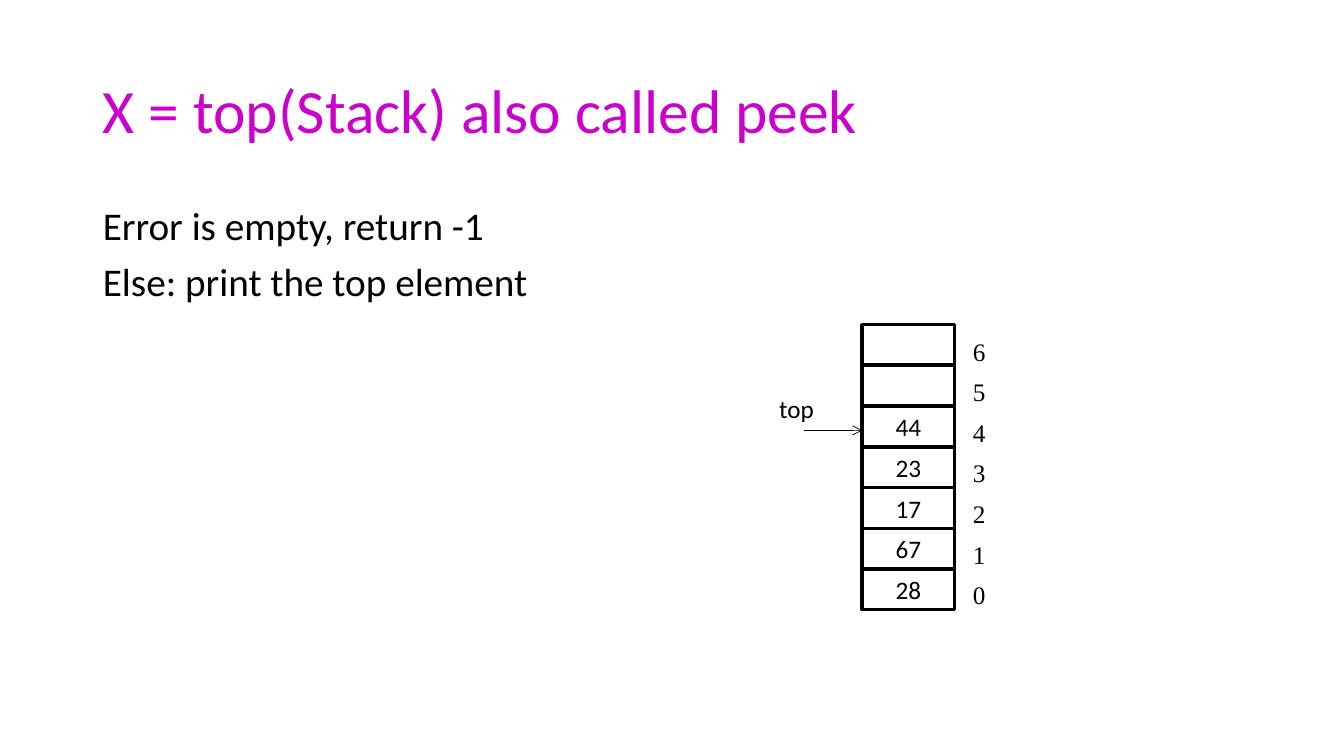
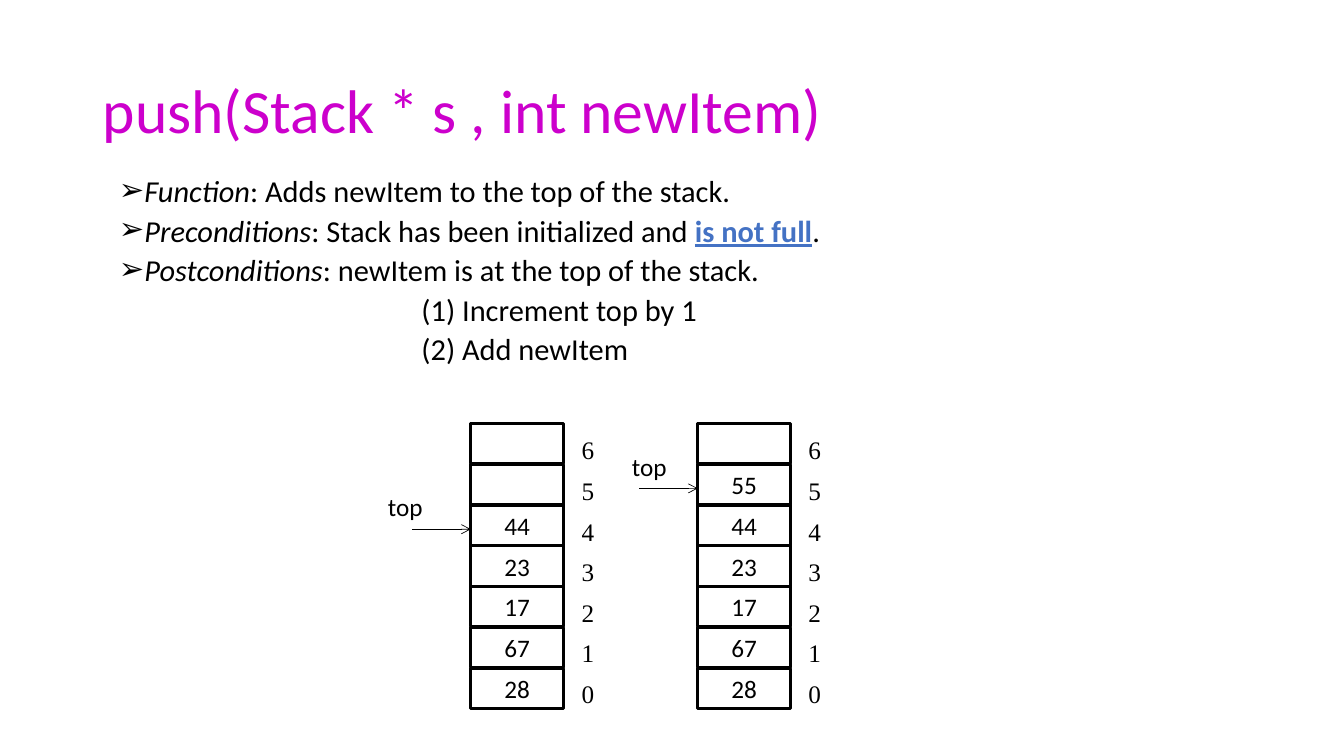
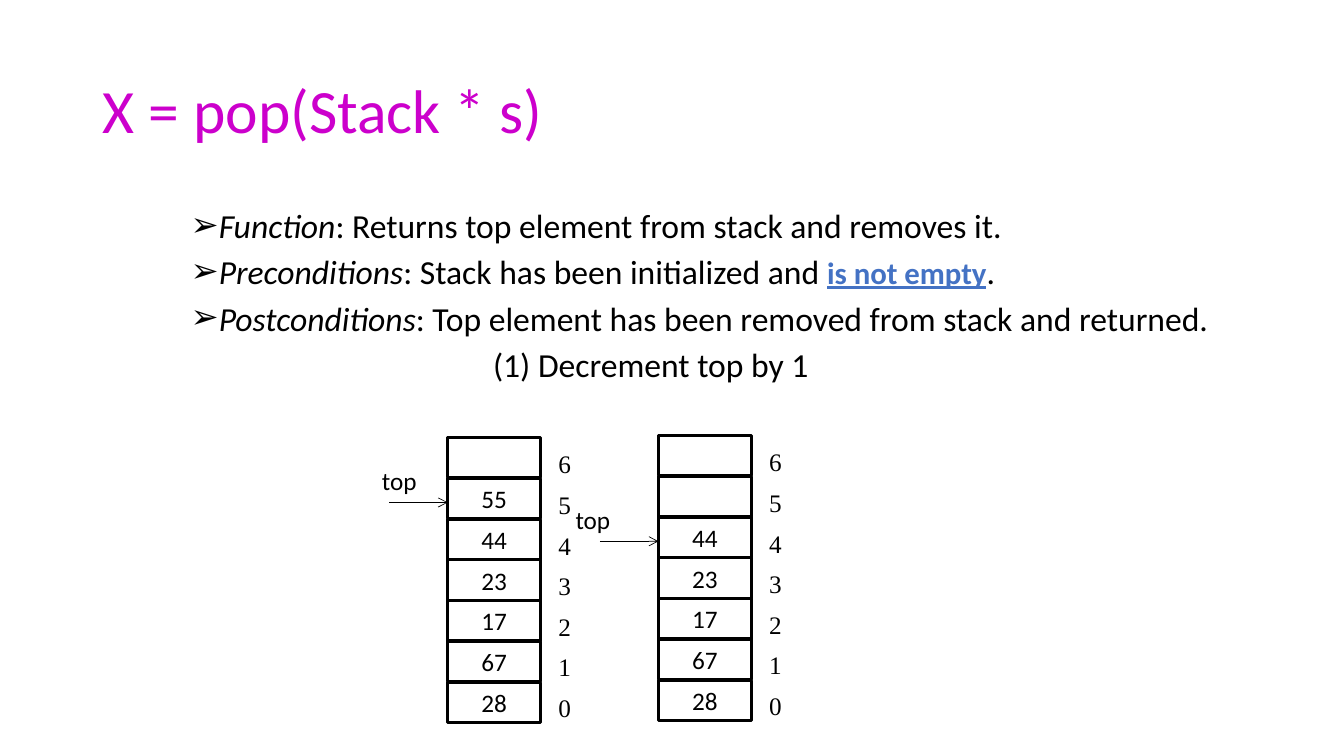
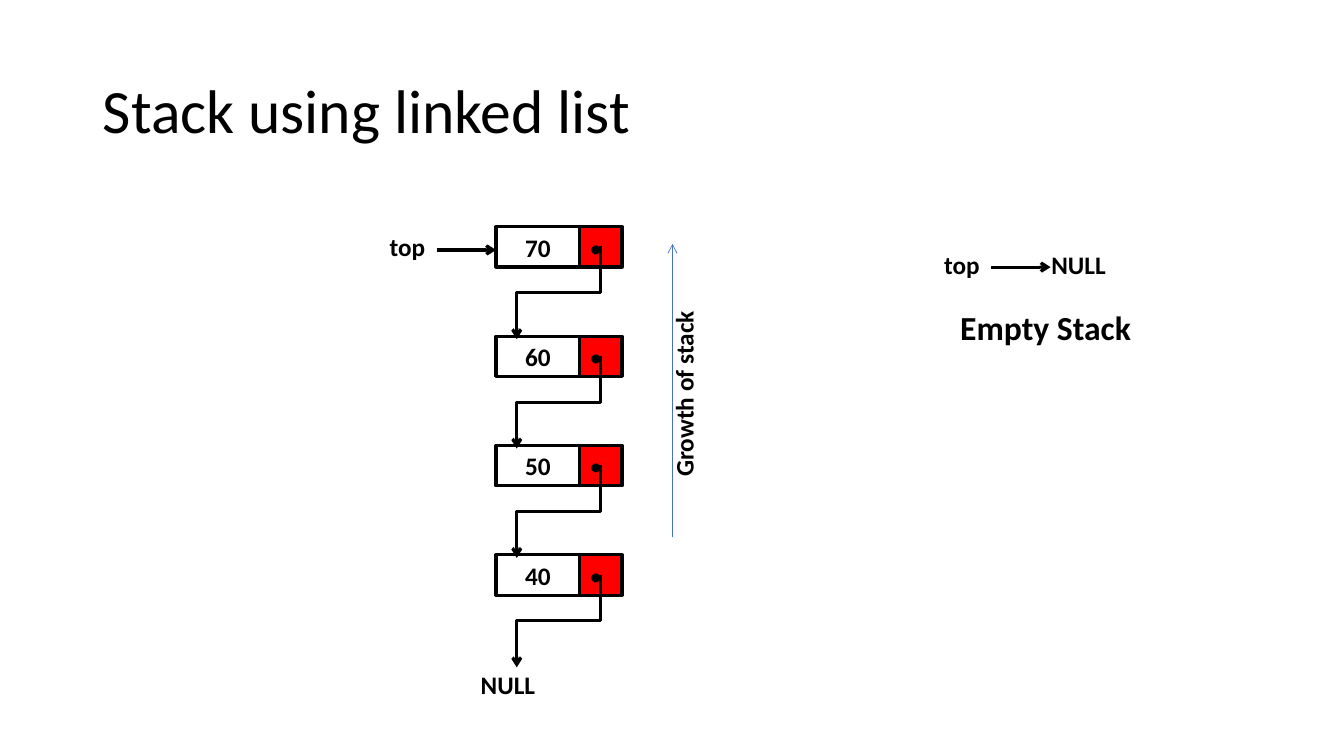
from lxml.etree import SubElement
from pptx import Presentation
from pptx.dml.color import RGBColor
from pptx.enum.shapes import MSO_CONNECTOR, MSO_SHAPE
from pptx.enum.text import MSO_ANCHOR, MSO_AUTO_SIZE, PP_ALIGN
from pptx.oxml.ns import qn
from pptx.util import Inches, Pt

BLACK, MAGENTA, BLUE, RED = "000000", "CC00CC", "4472C4", "FF0000"
BODY_FONT, INDEX_FONT = "Calibri", "Times New Roman"
TITLE_AND_BODY, TITLE_ONLY = 1, 5  # layout numbers
ROW_H, ROW_PITCH, CELL_W = 0.4, 0.405, 0.92  # array stack
NODE_PITCH, DATA_W, LINK_W = 1.085, 0.83, 0.42  # linked list


def rgb(value):
    return RGBColor.from_string(value)


def inches(*lengths):
    return [Inches(length) for length in lengths]


def style(font, size=18, color=BLACK, bold=False, name=BODY_FONT):
    font.name, font.size, font.bold = name, Pt(size), bold
    font.color.rgb = rgb(color)


# Basic parts
def add_label(shapes, box, text, size=18, bold=False, align=PP_ALIGN.LEFT):
    label = shapes.add_textbox(*inches(*box))
    frame = label.text_frame
    frame.word_wrap = True
    frame.text = text
    frame.paragraphs[0].alignment = align
    style(frame.paragraphs[0].runs[0].font, size, bold=bold)
    return label


def add_cell(shapes, box, text="", bold=False, fill=None, align=PP_ALIGN.CENTER):
    cell = shapes.add_shape(MSO_SHAPE.RECTANGLE, *inches(*box))
    cell.shadow.inherit = False
    if fill:
        cell.fill.solid()
        cell.fill.fore_color.rgb = rgb(fill)
    else:
        cell.fill.background()
    cell.line.color.rgb = rgb(BLACK)
    cell.line.width = Pt(2.25)
    if text:
        paragraph = cell.text_frame.paragraphs[0]
        paragraph.text = text
        paragraph.alignment = align
        style(paragraph.runs[0].font, bold=bold)


def add_arrow(shapes, start, end, width=0.5, color=BLACK, kind=MSO_CONNECTOR.STRAIGHT):
    arrow = shapes.add_connector(kind, *inches(*start, *end))
    arrow.line.color.rgb = rgb(color)
    arrow.line.width = Pt(width)
    SubElement(arrow.line._get_or_add_ln(), qn("a:tailEnd"), type="arrow")
    SubElement(arrow._element.spPr, qn("a:effectLst"))
    return arrow


# Slide frame and body text
def add_titled_slide(prs, text, color=MAGENTA, layout=TITLE_AND_BODY):
    slide = prs.slides.add_slide(prs.slide_layouts[layout])
    title = slide.shapes.title
    title.left, title.top, title.width, title.height = inches(0.92, 0.4, 11.5, 1.45)
    frame = title.text_frame
    frame.text = text
    frame.auto_size = MSO_AUTO_SIZE.NONE
    frame.vertical_anchor = MSO_ANCHOR.MIDDLE
    paragraph = frame.paragraphs[0]
    paragraph.alignment = PP_ALIGN.LEFT
    paragraph.line_spacing = 0.9
    style(paragraph.runs[0].font, 44, color)
    return slide


def set_indent(paragraph, margin, first_line=0, bullet=None):
    properties = paragraph._p.get_or_add_pPr()
    properties.set("marL", str(Inches(margin)))
    properties.set("indent", str(Inches(first_line)))
    if bullet:
        SubElement(properties, qn("a:buChar"), char=bullet)
    else:
        SubElement(properties, qn("a:buNone"))


def body_paragraphs(slide, box, count, spacing, align):
    body = slide.placeholders[1]
    body.left, body.top, body.width, body.height = inches(*box)
    frame = body.text_frame
    frame.auto_size = MSO_AUTO_SIZE.NONE
    for number in range(count):
        paragraph = frame.add_paragraph() if number else frame.paragraphs[0]
        paragraph.alignment = align
        paragraph.line_spacing = spacing
        paragraph.space_before = Pt(10 if number else 0)
        yield paragraph


def add_plain_body(slide, box, lines):
    paragraphs = body_paragraphs(slide, box, len(lines), 0.9, PP_ALIGN.LEFT)
    for paragraph, line in zip(paragraphs, lines):
        set_indent(paragraph, 0)
        paragraph.text = line
        style(paragraph.runs[0].font, 28)


def add_contract(slide, box, clauses, steps, size, condition_size, spacing):
    """Bulleted clauses (term, text, stressed condition), then indented steps."""
    count = len(clauses) + len(steps)
    paragraphs = body_paragraphs(slide, box, count, spacing, PP_ALIGN.JUSTIFY)
    for (term, text, condition), paragraph in zip(clauses, paragraphs):
        set_indent(paragraph, 0.25, -0.25, "➢")
        pieces = [term, text] + ([condition, "."] if condition else [])
        for piece in pieces:
            run = paragraph.add_run()
            run.text = piece
            stressed = piece == condition
            style(run.font, condition_size if stressed else size,
                  BLUE if stressed else BLACK, bold=stressed)
            run.font.italic = piece == term
            run.font.underline = stressed
    for step, paragraph in zip(steps, paragraphs):
        set_indent(paragraph, 3)
        paragraph.text = step
        style(paragraph.runs[0].font, size)


# Array stack: cells, indices and the pointer to the top element
def add_array_stack(slide, left, top, values, label_offset=0.92, capacity=7):
    shapes = slide.shapes.add_group_shape().shapes
    for index in range(capacity):
        row_top = top + (capacity - 1 - index) * ROW_PITCH
        text = values[index] if index < len(values) else ""
        add_cell(shapes, (left, row_top, CELL_W, ROW_H), text)

    top_row = top + (capacity - len(values)) * ROW_PITCH
    add_label(shapes, (left - label_offset, top_row - 0.18, 0.67, 0.4), "top")
    add_arrow(shapes, (left - 0.58, top_row + 0.24), (left, top_row + 0.24))

    indices = shapes.add_textbox(*inches(left + 1, top - 0.04, 0.5, 2.91)).text_frame
    indices.word_wrap = True
    indices.text = "\n".join(str(index) for index in reversed(range(capacity)))
    for paragraph in indices.paragraphs:
        paragraph.line_spacing = Pt(29)
        style(paragraph.runs[0].font, name=INDEX_FONT)


# Linked list: nodes, links, top pointer, NULL and growth direction
def add_linked_list(slide, left, top, values):
    shapes = slide.shapes.add_group_shape().shapes
    for number, value in enumerate(values):
        node_top = top + number * NODE_PITCH
        add_cell(shapes, (left, node_top, DATA_W, ROW_H), value, bold=True)
        add_cell(shapes, (left + DATA_W, node_top, LINK_W, ROW_H), "•",
                 fill=RED, align=PP_ALIGN.LEFT)
        # A quarter turn makes the link leave its node downwards
        link = add_arrow(shapes, (left + 0.16, node_top + 0.24),
                         (left + 1.08, node_top + 1.07), 2.25,
                         kind=MSO_CONNECTOR.ELBOW)
        link._element.spPr.get_or_add_xfrm().set("rot", "5400000")

    add_top_pointer(shapes, left - 1.34, top, 0.23)
    null_top = top + len(values) * NODE_PITCH
    add_label(shapes, (left - 0.25, null_top, 1.17, 0.4), "NULL", bold=True)

    add_arrow(shapes, (left + 1.75, top + 3.08), (left + 1.75, top + 0.17), color=BLUE)
    growth = add_label(shapes, (left + 1.66, top + 0.08, 0.5, 2.5),
                       "Growth of stack", bold=True)
    growth.text_frame._txBody.bodyPr.set("vert", "vert270")


def add_top_pointer(shapes, left, top, drop):
    add_arrow(shapes, (left + 0.75, top + drop), (left + 1.34, top + drop), 2.25)
    add_label(shapes, (left, top, 0.92, 0.4), "top", bold=True, align=PP_ALIGN.CENTER)


def add_empty_stack(slide, left, top):
    add_top_pointer(slide.shapes, left, top, 0.23)
    add_label(slide.shapes, (left + 1.25, top, 1.17, 0.4), "NULL", bold=True)
    add_label(slide.shapes, (left, top + 0.58, 2.58, 0.5), "Empty Stack", 24,
              True, PP_ALIGN.CENTER)


def main():
    prs = Presentation()
    prs.slide_width, prs.slide_height = inches(13.33, 7.5)
    items = ["28", "67", "17", "23", "44"]
    pushed = items + ["55"]

    # Peek
    slide = add_titled_slide(prs, "X = top(Stack) also called peek")
    add_plain_body(slide, (0.92, 2, 11.5, 4.76),
                   ["Error is empty, return -1", "Else: print the top element"])
    add_array_stack(slide, 8.55, 3.22, items)

    # Push
    slide = add_titled_slide(prs, "push(Stack * s , int newItem)")
    add_contract(slide, (1.08, 1.76, 10.78, 2.04), [
        ("Function", ": Adds newItem to the top of the stack.", None),
        ("Preconditions", ": Stack has been initialized and ", "is not full"),
        ("Postconditions", ": newItem is at the top of the stack.", None),
    ], ["(1) Increment top by 1", "(2) Add newItem"], 21.7, 21.7, 0.7)
    add_array_stack(slide, 4.67, 4.2, items)
    add_array_stack(slide, 6.92, 4.2, pushed, 0.75)

    # Pop
    slide = add_titled_slide(prs, "X = pop(Stack * s)")
    add_contract(slide, (1.79, 2.06, 10.39, 2.44), [
        ("Function", ": Returns top element from stack and removes it.", None),
        ("Preconditions", ": Stack has been initialized and ", "is not empty"),
        ("Postconditions", ": Top element has been removed from stack and returned.", None),
    ], ["(1) Decrement top by 1"], 24, 22, 0.8)
    add_array_stack(slide, 6.53, 4.32, items)
    add_array_stack(slide, 4.44, 4.34, pushed, 0.75)

    # Linked list
    slide = add_titled_slide(prs, "Stack using linked list", BLACK, TITLE_ONLY)
    add_linked_list(slide, 4.92, 2.25, ["70", "60", "50", "40"])
    add_empty_stack(slide, 9.08, 2.42)

    prs.save("out.pptx")


if __name__ == "__main__":
    main()
